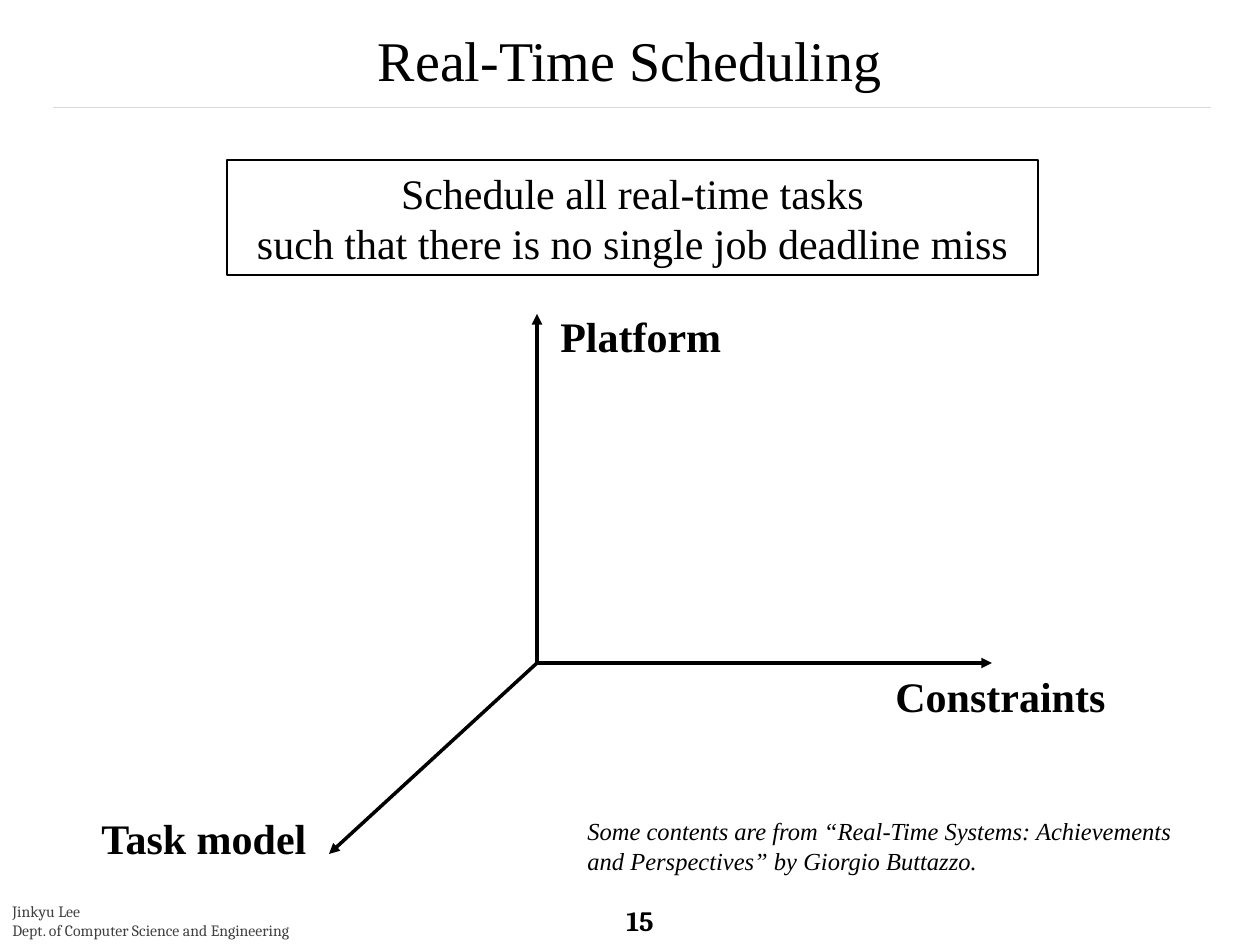
from dataclasses import dataclass

from lxml import etree
from pptx import Presentation
from pptx.dml.color import RGBColor
from pptx.enum.shapes import MSO_CONNECTOR, MSO_SHAPE
from pptx.enum.text import MSO_ANCHOR, PP_ALIGN
from pptx.oxml.ns import qn
from pptx.util import Emu, Pt

STRAIGHT = MSO_CONNECTOR.STRAIGHT
RECTANGLE = MSO_SHAPE.RECTANGLE
TOP, MIDDLE = MSO_ANCHOR.TOP, MSO_ANCHOR.MIDDLE
LEFT, CENTER = PP_ALIGN.LEFT, PP_ALIGN.CENTER
TITLE_ONLY = 5
EMU_PER_INCH = 914400
PX_PER_INCH = 126


@dataclass(frozen=True)
class Theme:
    ink: RGBColor = RGBColor(0, 0, 0)
    muted: RGBColor = RGBColor(0x40, 0x40, 0x40)
    rule: RGBColor = RGBColor(0xD9, 0xD9, 0xD9)
    body_font: str = "Times New Roman"
    footer_font: str = "Cambria"
    title_size: int = 32
    body_size: int = 24
    page_size: int = 16
    credit_size: int = 14
    footer_size: int = 9
    axis_width: float = 2
    frame_width: float = 0.75
    rule_width: float = 0.1


THEME = Theme()


@dataclass(frozen=True)
class Box:
    left: int
    top: int
    width: int
    height: int


@dataclass(frozen=True)
class Style:
    size: int = THEME.body_size
    font: str = THEME.body_font
    color: RGBColor = THEME.ink
    bold: bool = False
    italic: bool = False
    align: PP_ALIGN = LEFT
    anchor: MSO_ANCHOR = TOP


@dataclass(frozen=True)
class Label:
    text: str
    box: Box
    style: Style


@dataclass(frozen=True)
class Line:
    start: tuple[int, int]
    end: tuple[int, int]
    color: RGBColor = THEME.ink
    width: float = THEME.axis_width
    arrow: bool = True


AXIS_NAME = Style(bold=True)
ORIGIN = (537, 663)

TITLE = Label("Real-Time Scheduling", Box(0, 21, 1260, 76),
              Style(size=THEME.title_size, align=CENTER, anchor=MIDDLE))
GOAL = Label("Schedule all real-time tasks\nsuch that there is no single job deadline miss",
             Box(227, 160, 811, 115), Style(align=CENTER, anchor=MIDDLE))
LINES = [
    Line((53, 107), (1211, 107), THEME.rule, THEME.rule_width, arrow=False),
    Line(ORIGIN, (992, 663)),
    Line(ORIGIN, (537, 314)),
    Line(ORIGIN, (329, 854)),
]
LABELS = [
    Label("15", Box(614, 901, 83, 39),
          Style(THEME.page_size, THEME.footer_font, bold=True, anchor=MIDDLE)),
    Label("Jinkyu Lee\nDept. of Computer Science and Engineering", Box(0, 896, 348, 50),
          Style(THEME.footer_size, THEME.footer_font, THEME.muted)),
    Label("Platform", Box(548, 304, 215, 63), AXIS_NAME),
    Label("Task model", Box(89, 806, 260, 63), AXIS_NAME),
    Label("Constraints", Box(883, 664, 260, 63), AXIS_NAME),
    Label("Some contents are from “Real-Time Systems: Achievements and Perspectives” "
          "by Giorgio Buttazzo.", Box(575, 810, 649, 72),
          Style(THEME.credit_size, italic=True)),
]


def px(length: int) -> Emu:
    return Emu(round(length * EMU_PER_INCH / PX_PER_INCH))


def bounds(box: Box) -> tuple[Emu, Emu, Emu, Emu]:
    return px(box.left), px(box.top), px(box.width), px(box.height)


def write(shape, text: str, style: Style) -> None:
    frame = shape.text_frame
    frame.text = text
    frame.word_wrap = True
    frame.vertical_anchor = style.anchor
    for paragraph in frame.paragraphs:
        paragraph.alignment = style.align
        for run in paragraph.runs:
            run.font.name = style.font
            run.font.size = Pt(style.size)
            run.font.bold = style.bold
            run.font.italic = style.italic
            run.font.color.rgb = style.color


def add_title(slide, label: Label) -> None:
    title = slide.shapes.title
    title.left, title.top, title.width, title.height = bounds(label.box)
    write(title, label.text, label.style)


def add_label(slide, label: Label) -> None:
    write(slide.shapes.add_textbox(*bounds(label.box)), label.text, label.style)


def add_framed(slide, label: Label) -> None:
    frame = slide.shapes.add_shape(RECTANGLE, *bounds(label.box))
    frame.shadow.inherit = False
    frame.fill.background()
    frame.line.color.rgb = THEME.ink
    frame.line.width = Pt(THEME.frame_width)
    write(frame, label.text, label.style)


def add_line(slide, line: Line) -> None:
    connector = slide.shapes.add_connector(
        STRAIGHT, *map(px, line.start), *map(px, line.end))
    connector.line.color.rgb = line.color
    connector.line.width = Pt(line.width)
    if line.arrow:
        etree.SubElement(connector.line._get_or_add_ln(), qn("a:tailEnd"), type="triangle")
    etree.SubElement(connector._element.spPr, qn("a:effectLst"))


def main() -> None:
    deck = Presentation()
    deck.slide_width, deck.slide_height = px(1260), px(945)
    slide = deck.slides.add_slide(deck.slide_layouts[TITLE_ONLY])
    add_title(slide, TITLE)
    for line in LINES:
        add_line(slide, line)
    for label in LABELS:
        add_label(slide, label)
    add_framed(slide, GOAL)
    deck.save("out.pptx")


if __name__ == "__main__":
    main()
